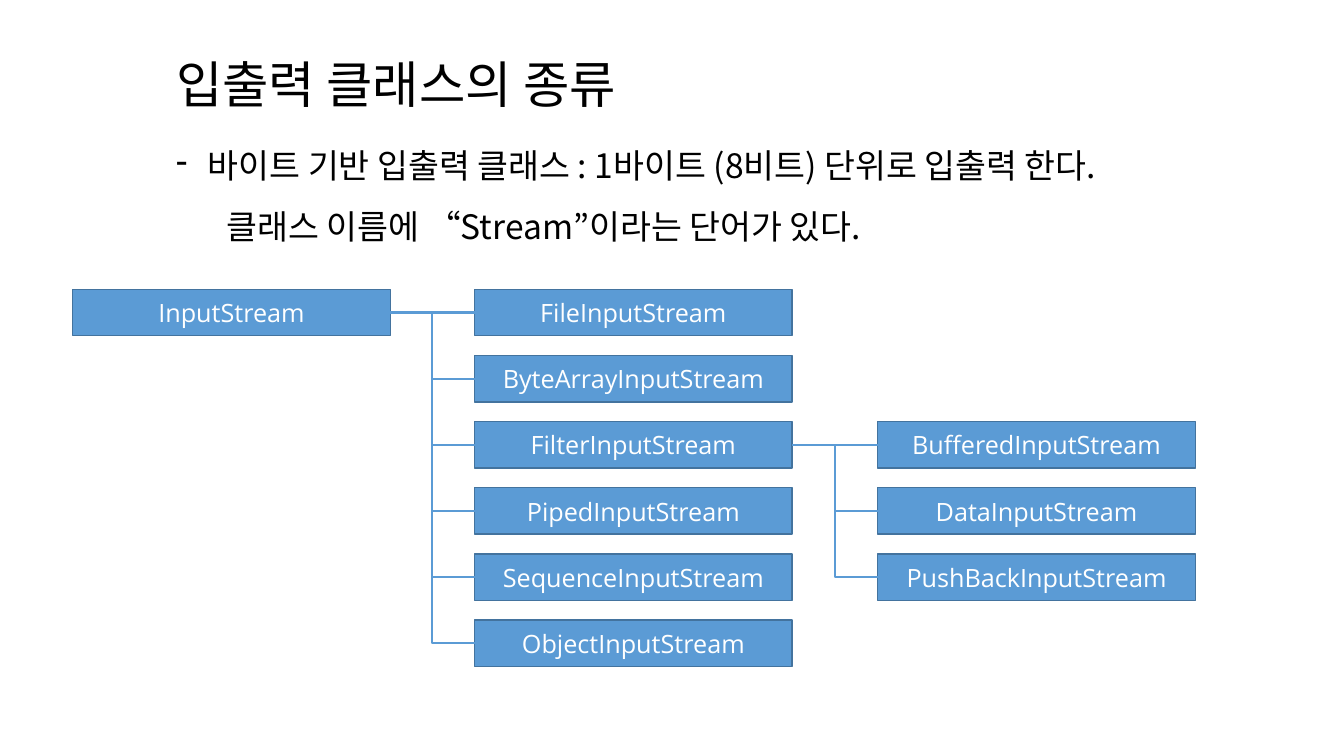
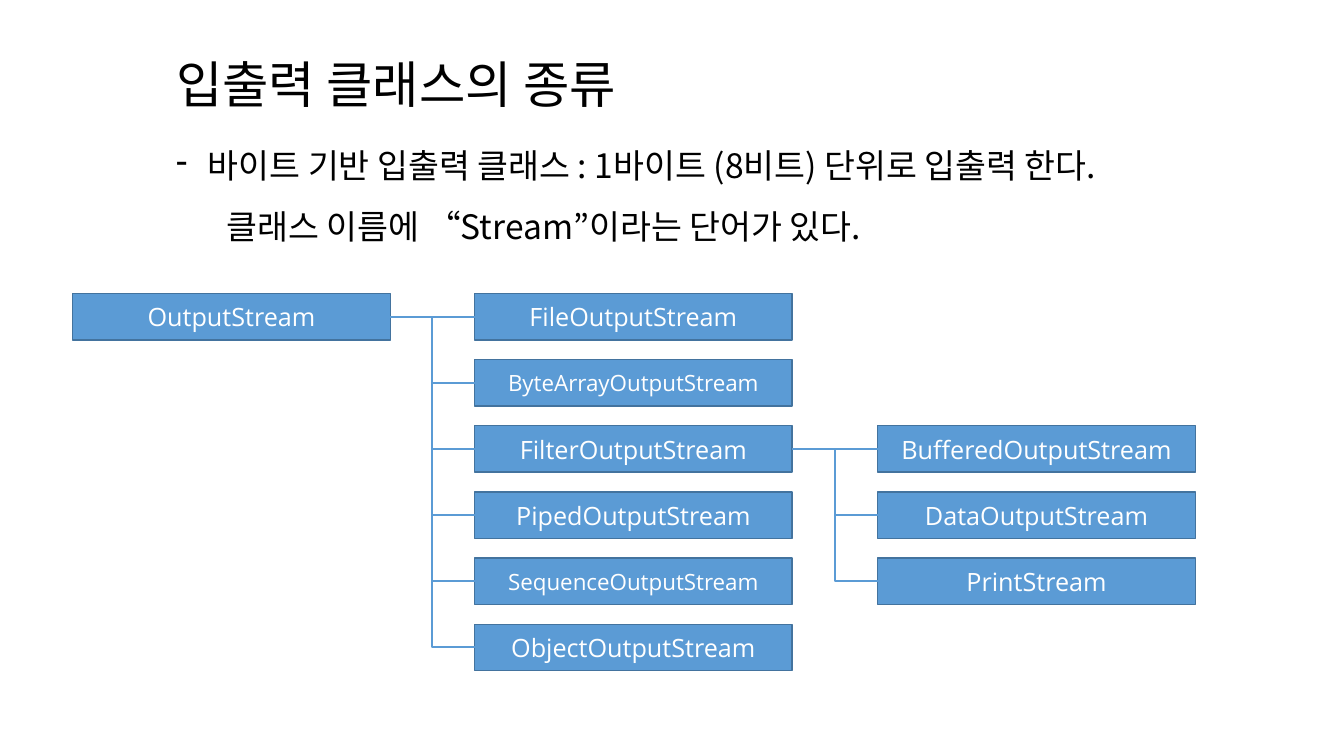
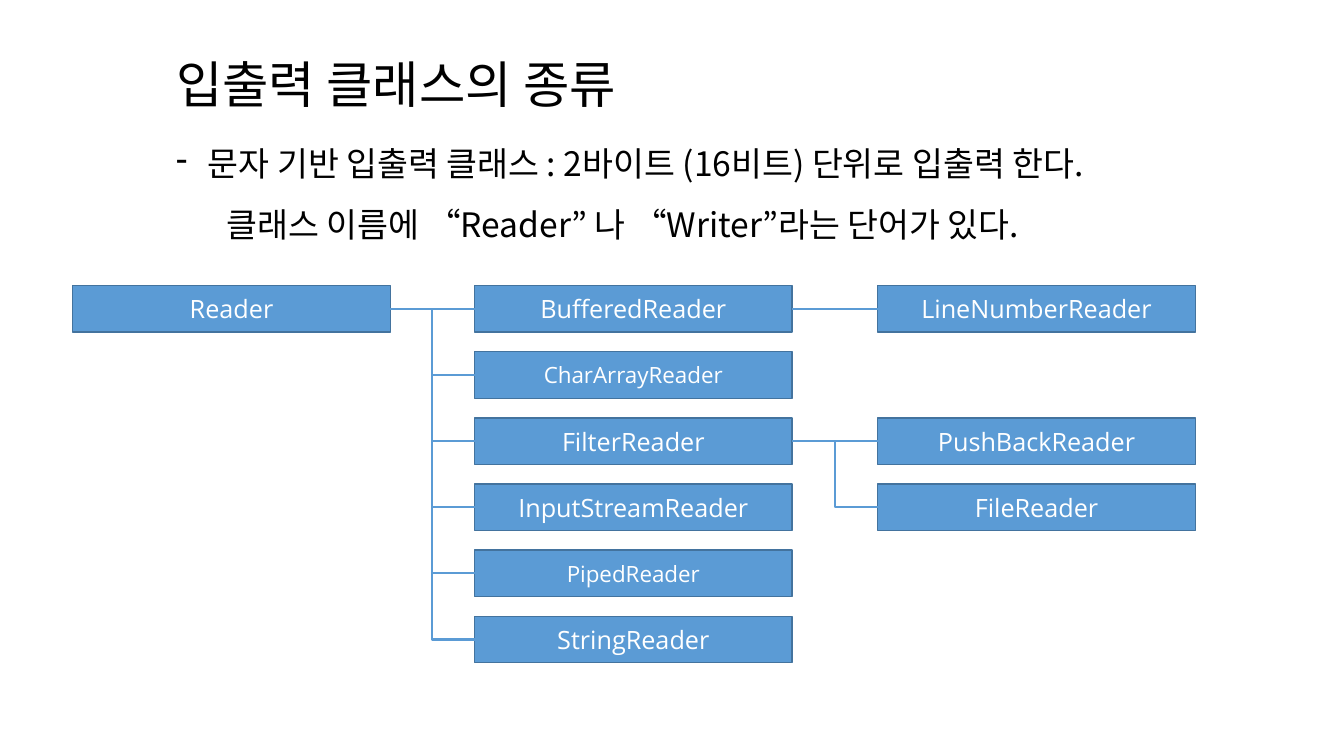
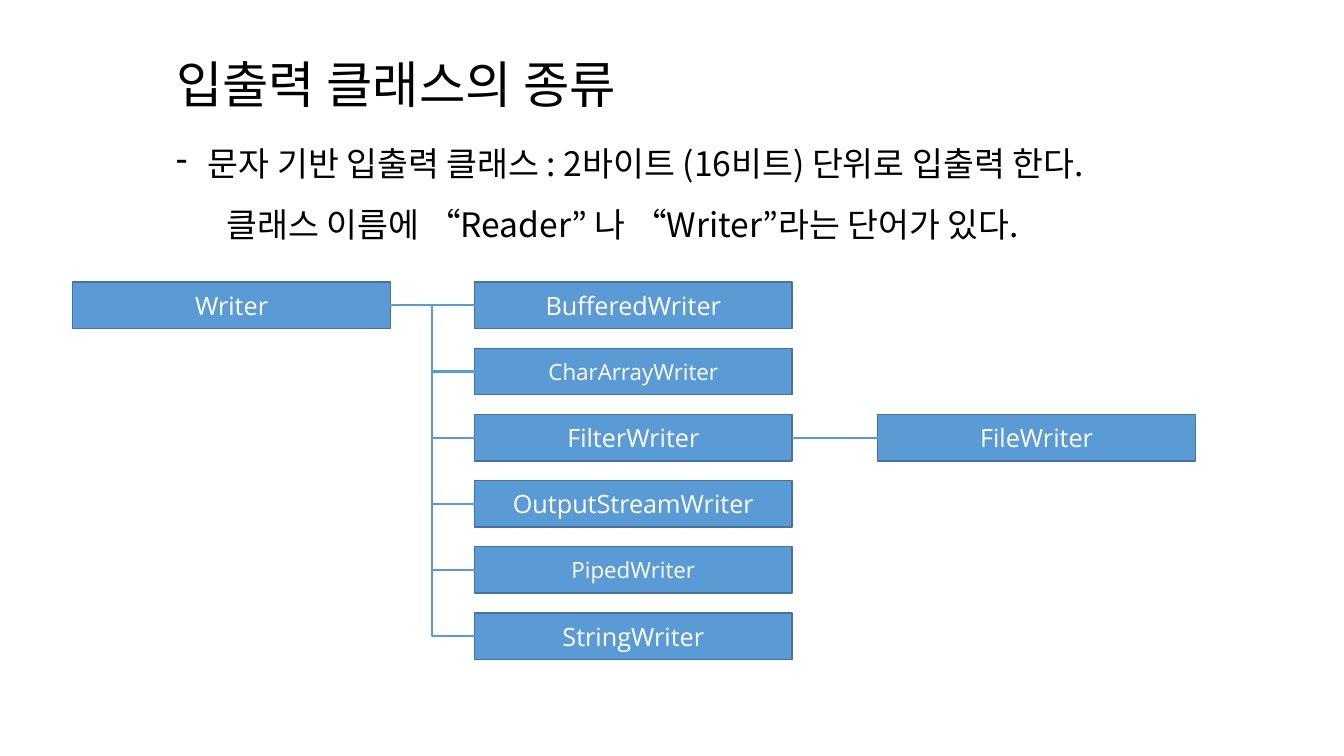
import dataclasses

import pptx
import pptx.dml.color
import pptx.enum.shapes
import pptx.enum.text
import pptx.oxml
import pptx.oxml.ns
import pptx.util

Pt = pptx.util.Pt

# Content: each hierarchy is a root class, its subclasses and their subclasses
TITLE = "입출력 클래스의 종류"
BYTE_NOTES = (
    "바이트 기반 입출력 클래스 : 1바이트 (8비트) 단위로 입출력 한다.",
    "클래스 이름에 “Stream”이라는 단어가 있다.",
)
CHARACTER_NOTES = (
    "문자 기반 입출력 클래스 : 2바이트 (16비트) 단위로 입출력 한다.",
    "클래스 이름에 “Reader” 나 “Writer”라는 단어가 있다.",
)
BYTE_NOTES_FRAME = (118.8, 85.7, 719.3, 94.3)
CHARACTER_NOTES_FRAME = (118.8, 84.2, 719.3, 90)

SLIDES = [
    {
        "notes": BYTE_NOTES, "frame": BYTE_NOTES_FRAME, "top": 206.6,
        "root": "InputStream",
        "subclasses": [
            ("FileInputStream", []),
            ("ByteArrayInputStream", []),
            ("FilterInputStream",
             ["BufferedInputStream", "DataInputStream", "PushBackInputStream"]),
            ("PipedInputStream", []),
            ("SequenceInputStream", []),
            ("ObjectInputStream", []),
        ],
    },
    {
        "notes": BYTE_NOTES, "frame": BYTE_NOTES_FRAME, "top": 209.6,
        "root": "OutputStream",
        "subclasses": [
            ("FileOutputStream", []),
            ("ByteArrayOutputStream", []),
            ("FilterOutputStream",
             ["BufferedOutputStream", "DataOutputStream", "PrintStream"]),
            ("PipedOutputStream", []),
            ("SequenceOutputStream", []),
            ("ObjectOutputStream", []),
        ],
    },
    {
        "notes": CHARACTER_NOTES, "frame": CHARACTER_NOTES_FRAME, "top": 204,
        "root": "Reader",
        "subclasses": [
            ("BufferedReader", ["LineNumberReader"]),
            ("CharArrayReader", []),
            ("FilterReader", ["PushBackReader", "FileReader"]),
            ("InputStreamReader", []),
            ("PipedReader", []),
            ("StringReader", []),
        ],
    },
    {
        "notes": CHARACTER_NOTES, "frame": CHARACTER_NOTES_FRAME, "top": 201.5,
        "root": "Writer",
        "subclasses": [
            ("BufferedWriter", []),
            ("CharArrayWriter", []),
            ("FilterWriter", ["FileWriter"]),
            ("OutputStreamWriter", []),
            ("PipedWriter", []),
            ("StringWriter", []),
        ],
    },
]

# Class names set one step smaller
SMALL_NAMES = {
    "ByteArrayOutputStream", "SequenceOutputStream",
    "CharArrayReader", "PipedReader", "CharArrayWriter", "PipedWriter",
}


# Theme and layout
@dataclasses.dataclass(frozen=True)
class Theme:
    text: str = "000000"
    box_text: str = "FFFFFF"
    box_fill: str = "5B9BD5"
    box_line: str = "43739E"
    link: str = "5B9BD5"
    korean_font: str = "Noto Sans CJK KR"
    class_font: str = "Open Sans"
    title_size: int = 36
    note_size: int = 24
    class_size: int = 18
    small_class_size: int = 16


THEME = Theme()
SLIDE_SIZE = (960, 540)
TITLE_FRAME = (118.8, 34.6, 757.4, 51.1)
COLUMNS = (52, 339, 627)
BOX_WIDTH, BOX_HEIGHT = 226.8, 33.2
ROW_PITCH = 47.25
RIGHT_SITE, LEFT_SITE = 3, 1


def rgb(value):
    return pptx.dml.color.RGBColor.from_string(value)


def add_run(paragraph, text, size, font, color):
    run = paragraph.add_run()
    run.text = text
    run.font.size = Pt(size)
    run.font.name = font
    run.font.color.rgb = rgb(color)
    east_asian = pptx.oxml.parse_xml(
        f'<a:ea {pptx.oxml.ns.nsdecls("a")} typeface="{font}"/>')
    run.font._element.find(pptx.oxml.ns.qn("a:latin")).addnext(east_asian)


def add_text_frame(slide, frame):
    text_frame = slide.shapes.add_textbox(*map(Pt, frame)).text_frame
    text_frame.word_wrap = True
    text_frame.auto_size = pptx.enum.text.MSO_AUTO_SIZE.SHAPE_TO_FIT_TEXT
    return text_frame


def add_title(slide):
    paragraph = add_text_frame(slide, TITLE_FRAME).paragraphs[0]
    add_run(paragraph, TITLE, THEME.title_size, THEME.korean_font, THEME.text)


def add_notes(slide, notes, frame):
    text_frame = add_text_frame(slide, frame)
    bulleted = text_frame.paragraphs[0]
    indented = text_frame.add_paragraph()
    indented.level = 1
    layout = ((bulleted, 22.5, -22.5), (indented, 36, 0))
    for (paragraph, margin, indent), text in zip(layout, notes):
        paragraph.line_spacing = 1.5
        properties = paragraph._p.get_or_add_pPr()
        properties.set("marL", str(Pt(margin)))
        properties.set("indent", str(Pt(indent)))
        add_run(paragraph, text, THEME.note_size, THEME.korean_font, THEME.text)
    bulleted._p.get_or_add_pPr().append(pptx.oxml.parse_xml(
        f'<a:buChar {pptx.oxml.ns.nsdecls("a")} char="-"/>'))


def add_class_box(slide, name, column, row, top):
    shape = slide.shapes.add_shape(
        pptx.enum.shapes.MSO_SHAPE.RECTANGLE,
        Pt(COLUMNS[column]), Pt(top + row * ROW_PITCH),
        Pt(BOX_WIDTH), Pt(BOX_HEIGHT))
    shape.shadow.inherit = False
    shape.fill.solid()
    shape.fill.fore_color.rgb = rgb(THEME.box_fill)
    shape.line.color.rgb = rgb(THEME.box_line)
    shape.line.width = Pt(1)
    shape.text_frame.vertical_anchor = pptx.enum.text.MSO_ANCHOR.MIDDLE
    paragraph = shape.text_frame.paragraphs[0]
    paragraph.alignment = pptx.enum.text.PP_ALIGN.CENTER
    size = THEME.small_class_size if name in SMALL_NAMES else THEME.class_size
    add_run(paragraph, name, size, THEME.class_font, THEME.box_text)
    return shape


def add_link(slide, parent, child):
    kinds = pptx.enum.shapes.MSO_CONNECTOR
    kind = kinds.STRAIGHT if parent.top == child.top else kinds.ELBOW
    connector = slide.shapes.add_connector(kind, 0, 0, 0, 0)
    connector.begin_connect(parent, RIGHT_SITE)
    connector.end_connect(child, LEFT_SITE)
    connector.line.color.rgb = rgb(THEME.link)
    connector.line.width = Pt(1.5)
    connector._element.spPr.append(pptx.oxml.parse_xml(
        f'<a:effectLst {pptx.oxml.ns.nsdecls("a")}/>'))


def add_hierarchy(slide, root_name, subclasses, top):
    root = add_class_box(slide, root_name, 0, 0, top)
    for row, (name, children) in enumerate(subclasses):
        subclass = add_class_box(slide, name, 1, row, top)
        add_link(slide, root, subclass)
        for child_row, child_name in enumerate(children, row):
            child = add_class_box(slide, child_name, 2, child_row, top)
            add_link(slide, subclass, child)


def main():
    presentation = pptx.Presentation()
    presentation.slide_width, presentation.slide_height = map(Pt, SLIDE_SIZE)
    blank = presentation.slide_layouts[6]
    for content in SLIDES:
        slide = presentation.slides.add_slide(blank)
        add_title(slide)
        add_hierarchy(slide, content["root"], content["subclasses"], content["top"])
        add_notes(slide, content["notes"], content["frame"])
    presentation.save("out.pptx")


if __name__ == "__main__":
    main()
